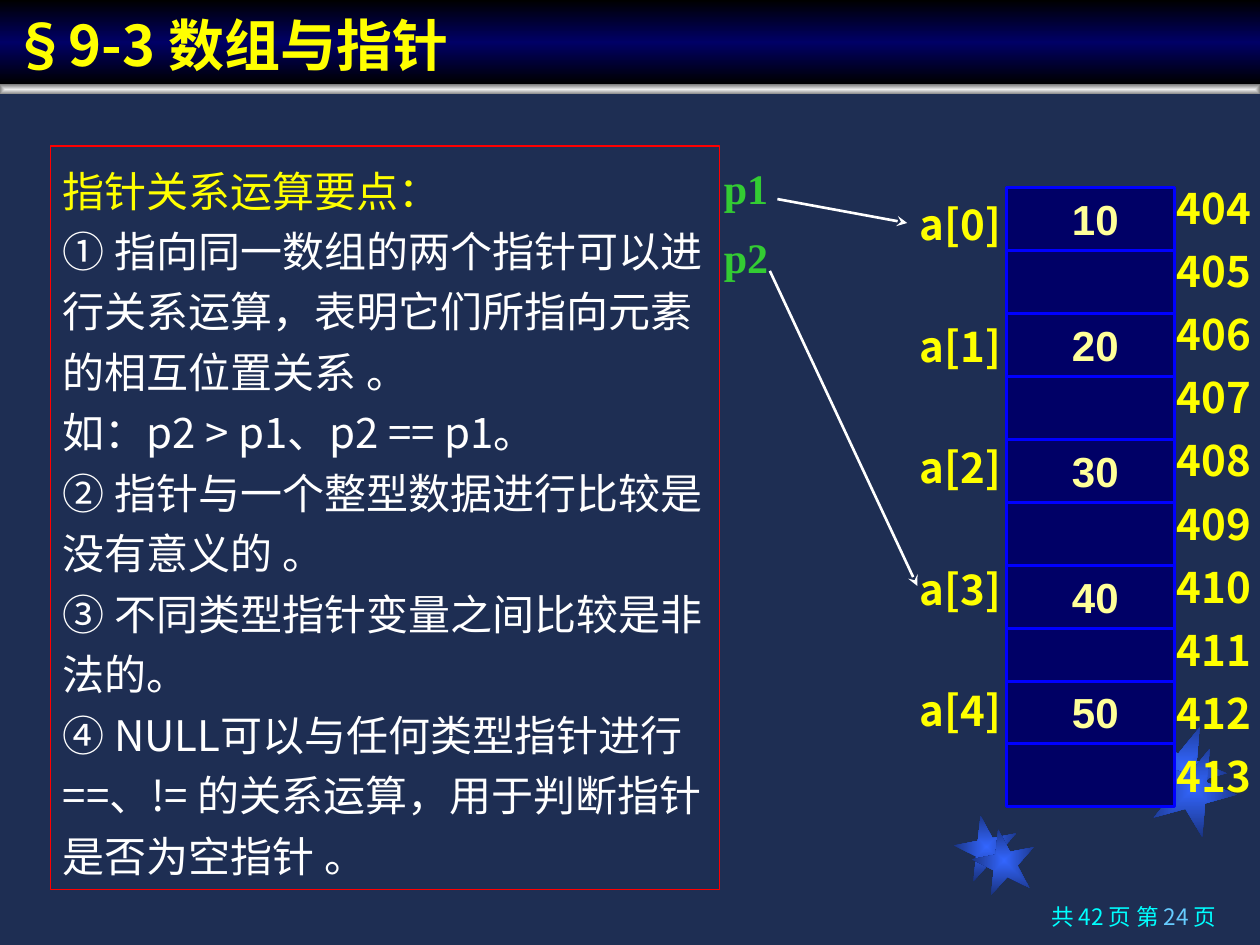
from dataclasses import dataclass

from pptx import Presentation
from pptx.dml.color import RGBColor
from pptx.enum.shapes import MSO_CONNECTOR, MSO_SHAPE
from pptx.enum.text import MSO_ANCHOR, MSO_AUTO_SIZE, PP_ALIGN
from pptx.oxml import parse_xml
from pptx.oxml.ns import nsdecls
from pptx.util import Inches, Pt


@dataclass(frozen=True)
class Theme:
    background: str = "1E2E53"
    yellow: str = "FFFF00"
    pale_yellow: str = "FFFF99"
    white: str = "FFFFFF"
    green: str = "33CC33"
    cyan: str = "00FFFF"
    sky: str = "66CCFF"
    red: str = "FF0000"
    grid: str = "0000FF"
    upper_cells: str = "000066"
    lower_cells: str = "000064"
    star_stops: tuple = ((0, "3366FF"), (100, "182F76"))
    bar_stops: tuple = ((0, "EDEDED"), (100, "808080"))
    title_stops: tuple = ((0, "000000"), (50, "000066"), (100, "000000"))
    main_font: str = "Noto Sans CJK SC"
    serif: str = "Times New Roman"
    sans: str = "Arial"
    title_size: float = 32
    text_size: float = 24
    footer_size: float = 12.9


FROM_CENTRE = ('<a:path path="rect"><a:fillToRect l="50000" t="50000" '
               'r="50000" b="50000"/></a:path>')
DOWNWARD = '<a:lin ang="5400000" scaled="0"/>'


class SlideBuilder:
    def __init__(self, slide, theme):
        self.slide = slide
        self.theme = theme
        fill = slide.background.fill
        fill.solid()
        fill.fore_color.rgb = RGBColor.from_string(theme.background)

    def gradient(self, shape, stops, direction):
        """Fill the shape with (percent, colour) stops."""
        shape.fill.background()
        stop_xml = "".join(
            f'<a:gs pos="{percent * 1000}"><a:srgbClr val="{color}"/></a:gs>'
            for percent, color in stops)
        properties = shape._element.spPr
        empty_fill = properties.find("{*}noFill")
        properties.replace(empty_fill, parse_xml(
            f'<a:gradFill {nsdecls("a")} rotWithShape="1"><a:gsLst>{stop_xml}'
            f'</a:gsLst>{direction}</a:gradFill>'))

    def shape(self, kind, left, top, width, height, fill=None, line=None,
              line_width=1.5):
        shape = self.slide.shapes.add_shape(
            kind, Inches(left), Inches(top), Inches(width), Inches(height))
        shape.shadow.inherit = False
        if fill:
            shape.fill.solid()
            shape.fill.fore_color.rgb = RGBColor.from_string(fill)
        else:
            shape.fill.background()
        if line:
            shape.line.color.rgb = RGBColor.from_string(line)
            shape.line.width = Pt(line_width)
        else:
            shape.line.fill.background()
        return shape

    def star(self, left, top, size, rotation):
        star = self.shape(MSO_SHAPE.STAR_5_POINT, left, top, size, size)
        star.rotation = rotation
        self.gradient(star, self.theme.star_stops, FROM_CENTRE)

    def line(self, start, end, color, arrow=False):
        points = [Inches(value) for value in (*start, *end)]
        connector = self.slide.shapes.add_connector(MSO_CONNECTOR.STRAIGHT, *points)
        connector.line.color.rgb = RGBColor.from_string(color)
        connector.line.width = Pt(1.5)
        if arrow:
            connector.line._get_or_add_ln().append(
                parse_xml(f'<a:tailEnd {nsdecls("a")} type="stealth"/>'))
        connector._element.spPr.append(parse_xml(f'<a:effectLst {nsdecls("a")}/>'))
        return connector

    def style(self, paragraph, color, font=None, size=None, bold=False,
              align=PP_ALIGN.LEFT, spacing=None):
        paragraph.alignment = align
        if spacing:
            paragraph.line_spacing = spacing
        paragraph.font.size = Pt(size or self.theme.text_size)
        paragraph.font.bold = bold
        paragraph.font.color.rgb = RGBColor.from_string(color)
        paragraph.font.name = font or self.theme.main_font
        paragraph.font._element.append(parse_xml(
            f'<a:ea {nsdecls("a")} typeface="{self.theme.main_font}"/>'))

    def fill_text(self, shape, lines, color, wrap=True, anchor=MSO_ANCHOR.TOP,
                  gap=0, **style):
        """Put one paragraph per line; gap is the space between them in points."""
        frame = shape.text_frame
        frame.word_wrap = wrap
        frame.auto_size = MSO_AUTO_SIZE.NONE
        frame.vertical_anchor = anchor
        for index, text in enumerate(lines):
            paragraph = frame.add_paragraph() if index else frame.paragraphs[0]
            paragraph.text = text
            if index and gap:
                paragraph.space_before = Pt(gap)
            self.style(paragraph, color, **style)
        return frame

    def text(self, left, top, width, height, lines, color, **options):
        box = self.slide.shapes.add_textbox(
            Inches(left), Inches(top), Inches(width), Inches(height))
        return self.fill_text(box, lines, color, **options)

    def title(self, text):
        title = self.slide.shapes.title
        title.left, title.top = Inches(0), Inches(0)
        title.width, title.height = Inches(10), Inches(0.67)
        self.gradient(title, self.theme.title_stops, DOWNWARD)
        self.fill_text(title, [text], self.theme.yellow, anchor=MSO_ANCHOR.BOTTOM,
                       size=self.theme.title_size, bold=True)

    def footer(self, parts):
        """Set (text, colour) parts on one right-aligned line."""
        theme = self.theme
        frame = self.text(7.12, 7.14, 2.63, 0.36, [""], theme.cyan,
                          size=theme.footer_size, align=PP_ALIGN.RIGHT, spacing=0.9)
        for text, color in parts:
            run = frame.paragraphs[0].add_run()
            run.text = text
            run.font.color.rgb = RGBColor.from_string(color)

    def memory(self, left, top, width, cell, values):
        """Draw two-byte array elements with their values, labels and addresses."""
        theme = self.theme
        right = left + width
        lower_top = top + 3.91
        lower = self.shape(MSO_SHAPE.RECTANGLE, left, lower_top, width, 2 * cell,
                           theme.lower_cells, theme.grid)
        middle = lower_top + cell
        divider = self.line((left, middle), (right, middle), theme.grid)
        divider.begin_connect(lower, 1)
        divider.end_connect(lower, 3)
        self.shape(MSO_SHAPE.RECTANGLE, left, top, width, 3.92,
                   theme.upper_cells, theme.grid)
        for row in range(1, 8):
            y = top + row * cell
            self.line((left, y), (right, y), theme.grid)
        for index, value in enumerate(values):
            value_top = min(top + index * 2 * cell, lower_top)
            self.text(left + 0.42, value_top, 0.57, cell, [str(value)],
                      theme.pale_yellow, wrap=False, font=theme.sans, bold=True)
        count = len(values)
        self.text(7.2, top, 1.05, 4.75, [f"a[{index}]" for index in range(count)],
                  theme.yellow, bold=True, spacing=1.1, gap=37.7)
        self.text(9.24, 1.32, 1, 5, [str(404 + byte) for byte in range(2 * count)],
                  theme.yellow, bold=True, spacing=1.2, gap=1.5)


def main():
    presentation = Presentation()
    presentation.slide_width, presentation.slide_height = Inches(10), Inches(7.5)
    theme = Theme()
    slide = presentation.slides.add_slide(presentation.slide_layouts[5])
    builder = SlideBuilder(slide, theme)

    for star in ((7.58, 6.47, 0.5, 349), (9.06, 5.75, 0.67, 22),
                 (7.72, 6.58, 0.5, 349), (8.49, 5.94, 0.46, 0),
                 (9.14, 5.92, 0.67, 22)):
        builder.star(*star)
    bar = builder.shape(MSO_SHAPE.RECTANGLE, 0, 0.67, 10, 0.08)
    builder.gradient(bar, theme.bar_stops, FROM_CENTRE)
    builder.title("§9-3 数组与指针")
    builder.footer([("共 42 页 第 ", theme.cyan), ("24 ", theme.sky), ("页", theme.cyan)])

    builder.memory(7.99, 1.49, 1.33, 0.5, (10, 20, 30, 40, 50))
    for name, top, start, end in (("p1", 1.16, (6.17, 1.58), (7.2, 1.77)),
                                  ("p2", 1.71, (6.11, 2.15), (7.28, 4.65))):
        builder.text(5.51, top, 0.82, 0.66, [name], theme.green, wrap=False,
                     anchor=MSO_ANCHOR.MIDDLE, font=theme.serif, bold=True,
                     align=PP_ALIGN.CENTER)
        builder.line(start, end, theme.white, arrow=True)

    rules = builder.shape(MSO_SHAPE.RECTANGLE, 0.4, 1.16, 5.31, 5.9,
                          line=theme.red, line_width=1)
    frame = builder.fill_text(rules, [
        "指针关系运算要点：",
        "① 指向同一数组的两个指针可以进行关系运算，表明它们所指向元素的相互位置关系 。\v"
        "如：p2 > p1、p2 == p1。",
        "② 指针与一个整型数据进行比较是没有意义的 。",
        "③ 不同类型指针变量之间比较是非法的。",
        "④ NULL可以与任何类型指针进行==、!= 的关系运算，用于判断指针是否为空指针 。",
    ], theme.white, anchor=MSO_ANCHOR.MIDDLE, spacing=1.2)
    frame.paragraphs[0].font.color.rgb = RGBColor.from_string(theme.yellow)

    presentation.save("out.pptx")


if __name__ == "__main__":
    main()
